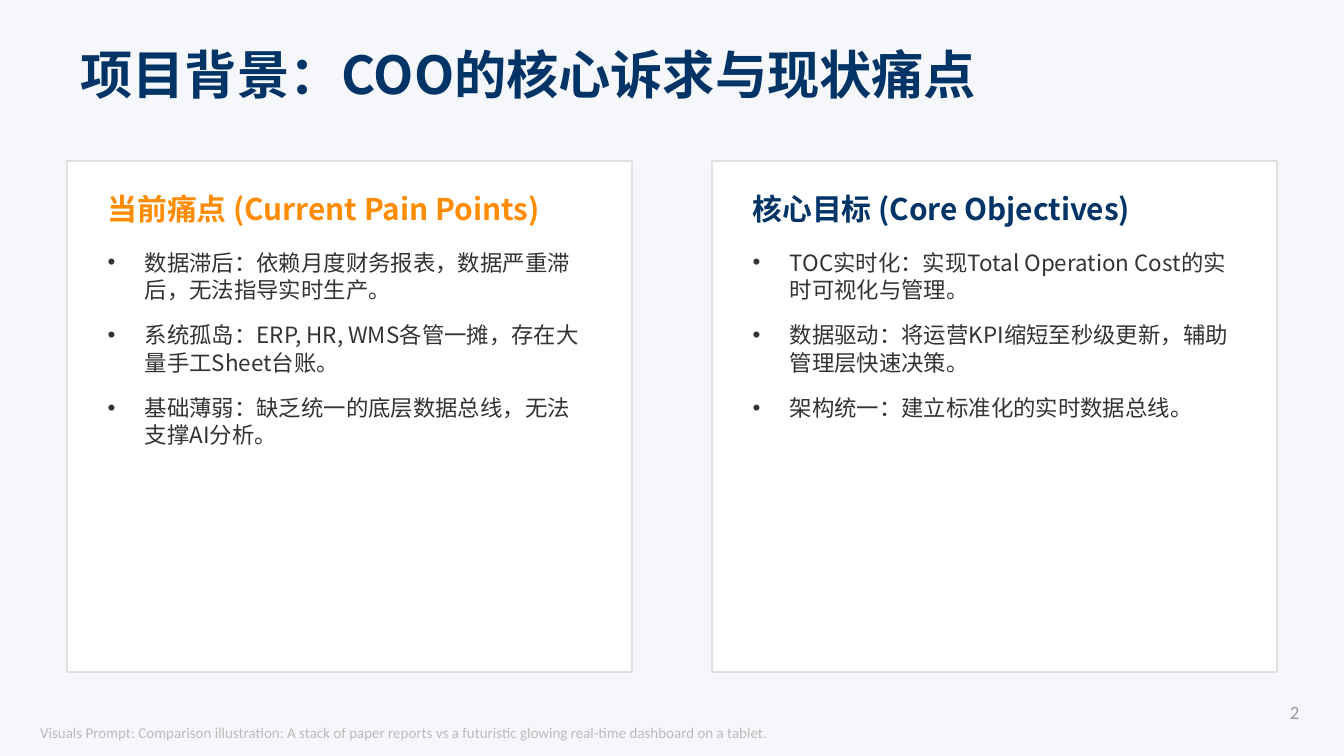
from lxml.etree import SubElement
from pptx import Presentation
from pptx.dml.color import RGBColor
from pptx.enum.shapes import MSO_SHAPE
from pptx.enum.text import MSO_ANCHOR, MSO_AUTO_SIZE, PP_ALIGN
from pptx.oxml.ns import qn
from pptx.util import Cm, Pt

CJK = "Noto Sans CJK SC"
NAVY = "003366"


def color(hex_string):
    return RGBColor.from_string(hex_string)


def write(shape, box, lines, size, hex_string, face=CJK, bold=False, anchor=MSO_ANCHOR.MIDDLE):
    shape.left, shape.top, shape.width, shape.height = (Cm(n) for n in box)
    frame = shape.text_frame
    frame.text = "\n".join(lines)
    frame.word_wrap = True
    frame.auto_size = MSO_AUTO_SIZE.NONE
    frame.vertical_anchor = anchor
    for paragraph in frame.paragraphs:
        paragraph.alignment = PP_ALIGN.LEFT
        paragraph.space_before = Pt(0)
        font = paragraph.font
        font.name, font.size, font.bold = face, Pt(size), bold
        font.color.rgb = color(hex_string)
        # East Asian typeface, next to the Latin one
        defaults = paragraph._p.pPr.find(qn("a:defRPr"))
        SubElement(defaults, qn("a:ea"), typeface=face)
    return frame.paragraphs


presentation = Presentation()
presentation.slide_width, presentation.slide_height = Cm(25.4), Cm(14.29)
slide = presentation.slides.add_slide(presentation.slide_layouts.get_by_name("Comparison"))
slide.background.fill.solid()
slide.background.fill.fore_color.rgb = color("F5F7FA")

# Title
title = slide.shapes.title
write(title, (1.27, 0.76, 22.86, 1.27), ["项目背景：COO的核心诉求与现状痛点"], 28, NAVY, bold=True)

# Two cards: heading and bullet list on a white panel
columns = [
    ("当前痛点 (Current Pain Points)", "FF8C00", [
        "数据滞后：依赖月度财务报表，数据严重滞后，无法指导实时生产。",
        "系统孤岛：ERP, HR, WMS各管一摊，存在大量手工Sheet台账。",
        "基础薄弱：缺乏统一的底层数据总线，无法支撑AI分析。",
    ]),
    ("核心目标 (Core Objectives)", NAVY, [
        "TOC实时化：实现Total Operation Cost的实时可视化与管理。",
        "数据驱动：将运营KPI缩短至秒级更新，辅助管理层快速决策。",
        "架构统一：建立标准化的实时数据总线。",
    ]),
]
for column, (heading, accent, points) in enumerate(columns):
    left = 1.27 + column * 12.19
    panel = slide.shapes.add_shape(MSO_SHAPE.RECTANGLE, Cm(left), Cm(3.05), Cm(10.67), Cm(9.65))
    panel.shadow.inherit = False
    panel.fill.solid()
    panel.fill.fore_color.rgb = color("FFFFFF")
    panel.line.color.rgb = color("E0E0E0")
    panel.line.width = Pt(1)
    title.element.addprevious(panel.element)  # panel goes behind the text

    heading_box = slide.placeholders[1 + 2 * column]
    write(heading_box, (left + 0.51, 3.56, 9.65, 0.76), [heading], 16, accent, bold=True)

    list_box = slide.placeholders[2 + 2 * column]
    for point in write(list_box, (left + 0.51, 4.57, 9.65, 7.62), points, 12, "333333",
                       anchor=MSO_ANCHOR.TOP):
        point.space_after = Pt(10)
        point.line_spacing = Pt(14.5)
        point._p.pPr.set("marL", str(Cm(0.7)))
        point._p.pPr.set("indent", str(-Cm(0.7)))

# Footer note and page number
footer = slide.shapes.add_textbox(0, 0, 0, 0)
write(footer, (0.51, 13.46, 20.32, 0.76),
      ["Visuals Prompt: Comparison illustration: A stack of paper reports vs a futuristic "
       "glowing real-time dashboard on a tablet."], 8, "BBBBBB", face="Calibri")
page_number = slide.shapes.add_textbox(0, 0, 0, 0)
write(page_number, (24.13, 13.13, 2.21, 0.84), ["2"], 10, "999999", face="Calibri",
      anchor=MSO_ANCHOR.TOP)

presentation.save("out.pptx")
